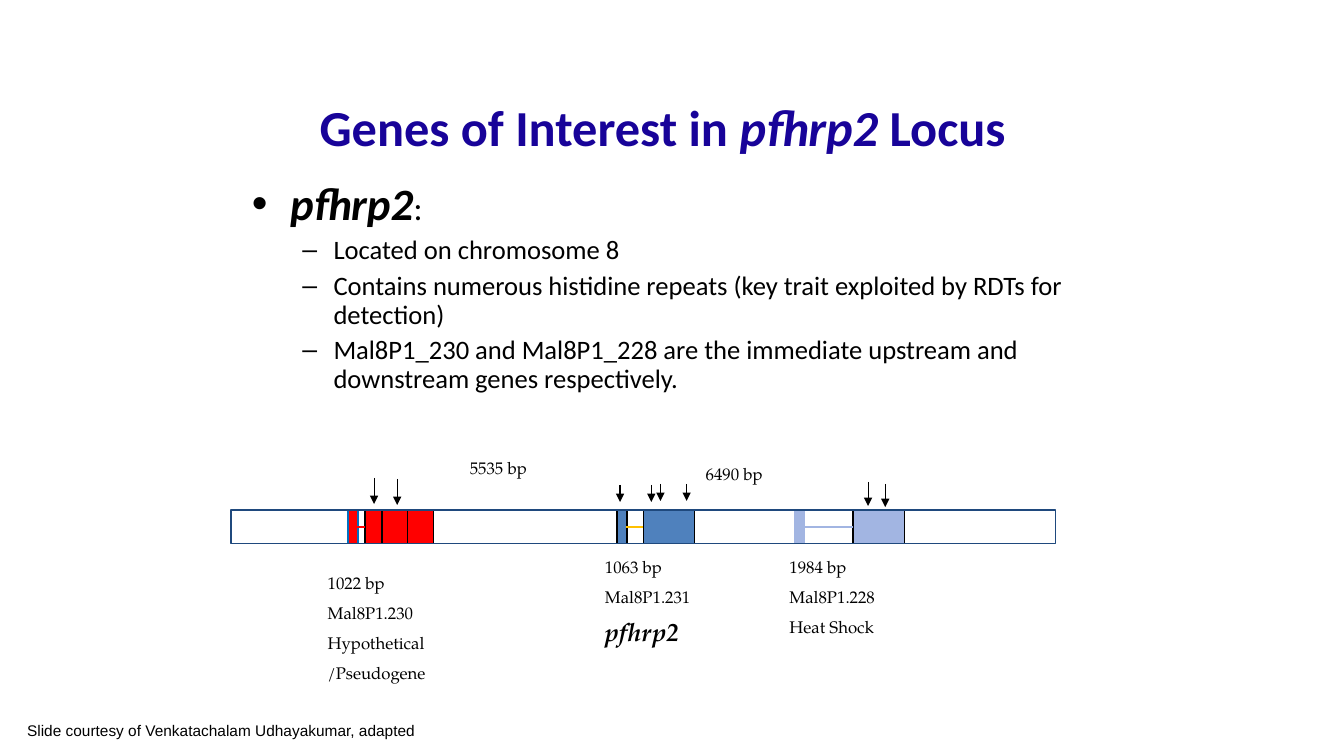
from lxml import etree
from pptx import Presentation
from pptx.dml.color import RGBColor
from pptx.enum.shapes import MSO_CONNECTOR, MSO_SHAPE
from pptx.enum.text import MSO_ANCHOR, PP_ALIGN
from pptx.oxml.ns import qn
from pptx.util import Inches, Pt

BLACK, NAVY, OUTLINE = "000000", "180399", "1F497D"
RED, BLUE, LILAC = "FF0000", "4F81BD", "A2B5E2"
BORDER_BLUE, GOLD = "0070C0", "FFC000"


def color(hex_value):
    return RGBColor.from_string(hex_value)


class LocusSlide:
    heading_font, label_font, credit_font = "Calibri", "TeX Gyre Pagella", "Arial"
    track_top, track_height = 5.06, 0.33

    def __init__(self, slide):
        self.shapes = slide.shapes

    def text_frame(self, left, top, width, height, inset=None):
        frame = self.shapes.add_textbox(
            Inches(left), Inches(top), Inches(width), Inches(height)).text_frame
        frame.word_wrap = True
        if inset is not None:
            frame.margin_left = frame.margin_right = Inches(inset)
            frame.margin_top = frame.margin_bottom = Inches(inset)
        return frame

    def style(self, font, name, size, hex_value=BLACK, bold=False, italic=False):
        font.name, font.size = name, Pt(size)
        font.bold, font.italic = bold, italic
        font.color.rgb = color(hex_value)

    def run(self, paragraph, text, size, hex_value=BLACK, bold=False, italic=False):
        run = paragraph.add_run()
        run.text = text
        self.style(run.font, self.heading_font, size, hex_value, bold, italic)

    def bullet(self, paragraph, symbol, indent, hanging):
        properties = paragraph._p.get_or_add_pPr()
        properties.set("marL", str(Inches(indent)))
        properties.set("indent", str(-Inches(hanging)))
        etree.SubElement(properties, qn("a:buFont")).set("typeface", "Arial")
        etree.SubElement(properties, qn("a:buChar")).set("char", symbol)
        paragraph.line_spacing = 0.9

    def label(self, left, top, width, height, lines, gene=None):
        frame = self.text_frame(left, top, width, height, 0.04)
        for index, line in enumerate(lines):
            paragraph = frame.add_paragraph() if index else frame.paragraphs[0]
            paragraph.text = line
            if index:
                paragraph.space_before = Pt(7.1)
            is_gene = line == gene
            self.style(paragraph.font, self.label_font, 18 if is_gene else 12,
                       bold=is_gene, italic=is_gene)

    def block(self, left, width, fill, border):
        box = self.shapes.add_shape(
            MSO_SHAPE.RECTANGLE, Inches(left), Inches(self.track_top),
            Inches(width), Inches(self.track_height))
        box.shadow.inherit = False
        if fill:
            box.fill.solid()
            box.fill.fore_color.rgb = color(fill)
        else:
            box.fill.background()
        box.line.color.rgb = color(border)
        box.line.width = Pt(1)

    def line(self, x1, y1, x2, y2, hex_value=BLACK, width=1, arrow=False):
        connector = self.shapes.add_connector(
            MSO_CONNECTOR.STRAIGHT, Inches(x1), Inches(y1), Inches(x2), Inches(y2))
        connector.line.color.rgb = color(hex_value)
        connector.line.width = Pt(width)
        if arrow:
            tail = etree.SubElement(connector.line._get_or_add_ln(), qn("a:tailEnd"))
            tail.set("type", "triangle")
        etree.SubElement(connector._element.spPr, qn("a:effectLst"))

    def intron(self, start, end, hex_value):
        self.line(start, 5.23, end, 5.23, hex_value)

    def title(self):
        frame = self.text_frame(2.17, 0.75, 9, 1)
        frame.vertical_anchor = MSO_ANCHOR.MIDDLE
        heading = frame.paragraphs[0]
        heading.alignment = PP_ALIGN.CENTER
        for text, italic in (("Genes of Interest in ", False), ("pfhrp2", True),
                             (" Locus\t", False)):
            self.run(heading, text, 36, NAVY, True, italic)

    def body(self, facts):
        frame = self.text_frame(2.4, 1.75, 8.76, 2.76)
        gene = frame.paragraphs[0]
        self.bullet(gene, "•", 0.38, 0.38)
        self.run(gene, "pfhrp2", 32, bold=True, italic=True)
        self.run(gene, ":", 24)
        for text in facts:
            fact = frame.add_paragraph()
            fact.level = 1
            self.bullet(fact, "–", 0.81, 0.31)
            fact.space_before = Pt(5)
            fact.text = text
            self.style(fact.font, self.heading_font, 19)

    def credit(self, text):
        paragraph = self.text_frame(0.17, 7.1, 6.42, 0.29).paragraphs[0]
        paragraph.text = text
        self.style(paragraph.font, self.credit_font, 11)


def main():
    presentation = Presentation()
    presentation.slide_width, presentation.slide_height = Inches(13.33), Inches(7.5)
    locus = LocusSlide(presentation.slides.add_slide(presentation.slide_layouts[6]))

    # Title and bullets
    locus.title()
    locus.body([
        "Located on chromosome 8",
        "Contains numerous histidine repeats (key trait exploited by RDTs for detection)",
        "Mal8P1_230 and Mal8P1_228 are the immediate upstream and downstream genes "
        "respectively.",
    ])

    # Exons: left, width, fill, border
    for exon in ((6.12, 0.1, BLUE, BLACK), (6.38, 0.51, BLUE, BLACK),
                 (7.88, 0.1, LILAC, LILAC), (8.46, 0.51, LILAC, BLACK),
                 (3.45, 0.1, RED, BORDER_BLUE), (3.62, 0.68, RED, BLACK)):
        locus.block(*exon)

    # Introns and the dividers of the upstream gene
    for intron in ((6.21, 6.38, GOLD), (7.96, 8.46, LILAC), (3.54, 3.62, RED)):
        locus.intron(*intron)
    for divider in (3.79, 4.04):
        locus.line(divider, locus.track_top, divider,
                   locus.track_top + locus.track_height)

    # Chromosome outline
    locus.block(2.29, 8.18, None, OUTLINE)

    # Marker arrows: x, top, bottom, line width
    for x, top, bottom, width in (
            (3.71, 4.74, 5, 0.75), (3.94, 4.75, 5.01, 0.75),
            (6.15, 4.81, 4.98, 1), (6.46, 4.81, 4.98, 1),
            (6.55, 4.8, 4.97, 1), (6.81, 4.8, 4.97, 1),
            (8.61, 4.78, 5.02, 0.75), (8.78, 4.8, 5.03, 0.75)):
        locus.line(x, top, x, bottom, width=width, arrow=True)

    # Gene and distance labels
    locus.label(3.21, 5.64, 1.43, 1.17,
                ["1022 bp", "Mal8P1.230", "Hypothetical", "/Pseudogene"])
    locus.label(5.96, 5.48, 1.35, 0.88, ["1063 bp", "Mal8P1.231", "pfhrp2"],
                gene="pfhrp2")
    locus.label(7.79, 5.48, 1.76, 0.88, ["1984 bp", "Mal8P1.228", "Heat Shock"])
    locus.label(4.62, 4.5, 0.93, 0.28, ["5535 bp"])
    locus.label(6.96, 4.56, 0.93, 0.28, ["6490 bp"])

    # Credit
    locus.credit("Slide courtesy of Venkatachalam Udhayakumar, adapted")
    presentation.save("out.pptx")


if __name__ == "__main__":
    main()
